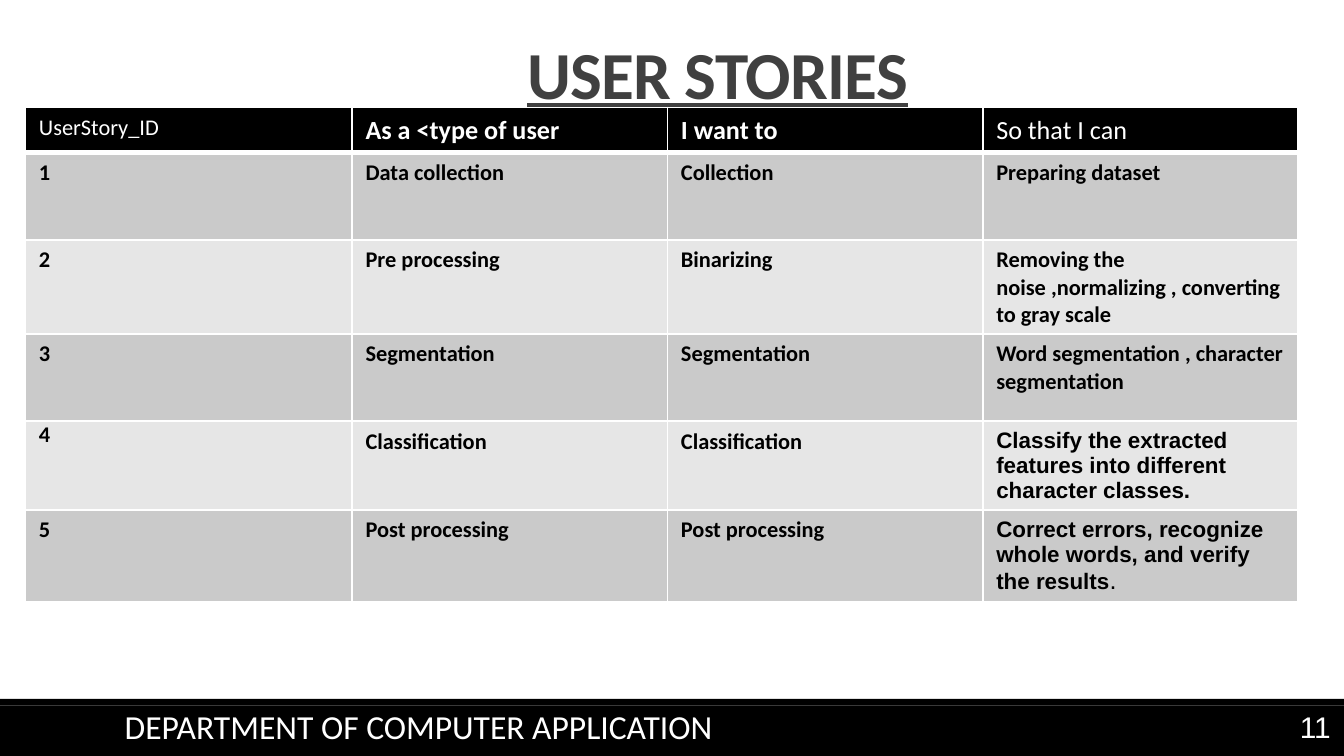
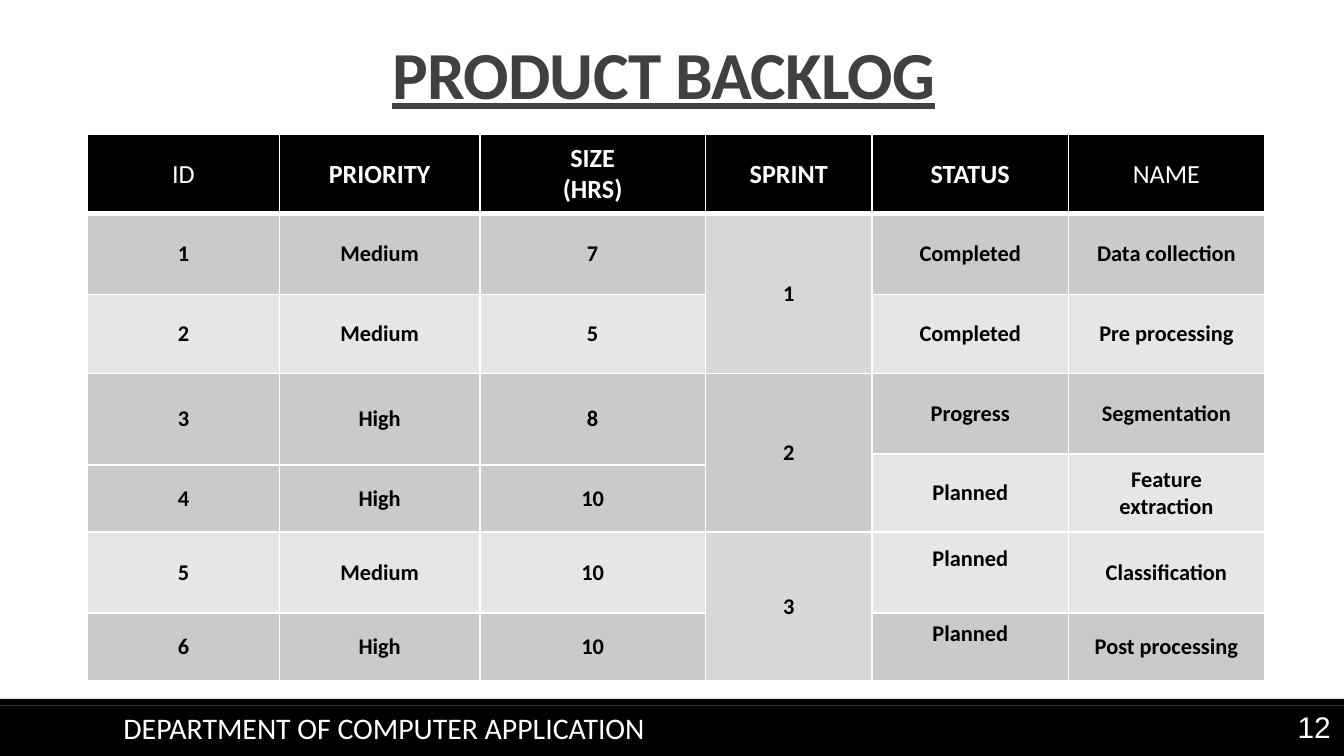
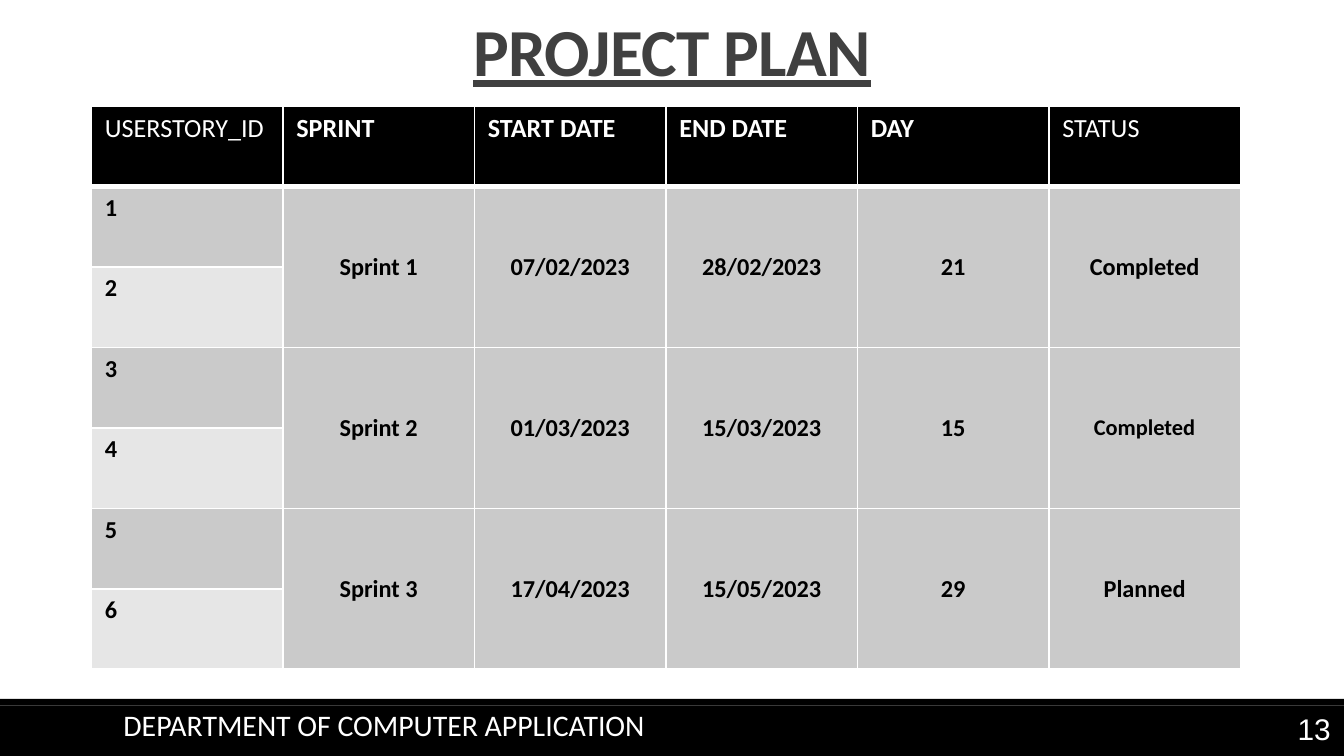
from lxml import etree
from pptx import Presentation
from pptx.dml.color import RGBColor
from pptx.enum.shapes import MSO_SHAPE
from pptx.enum.text import MSO_ANCHOR, PP_ALIGN
from pptx.oxml.ns import qn
from pptx.util import Inches, Pt

BLACK = RGBColor(0x00, 0x00, 0x00)
WHITE = RGBColor(0xFF, 0xFF, 0xFF)
TITLE_GRAY = RGBColor(0x40, 0x40, 0x40)
BAND_DARK = RGBColor(0xCA, 0xCA, 0xCA)
BAND_LIGHT = RGBColor(0xE6, 0xE6, 0xE6)
SPRINT_GRAY = RGBColor(0xD8, 0xD8, 0xD8)

RECT = MSO_SHAPE.RECTANGLE
LEFT, CENTER, RIGHT = PP_ALIGN.LEFT, PP_ALIGN.CENTER, PP_ALIGN.RIGHT
TOP, MIDDLE = MSO_ANCHOR.TOP, MSO_ANCHOR.MIDDLE

DEPARTMENT = "DEPARTMENT OF COMPUTER APPLICATION"
TITLE_FONT = dict(name="Calibri", size=Pt(36), bold=True, underline=True)


class Deck:
    """Holds the shared style and the current slide."""

    def __init__(self):
        self.prs = Presentation()
        self.prs.slide_width = Inches(10)
        self.prs.slide_height = Inches(10 * 9 / 16)
        self.s = None

    def new_slide(self):
        self.s = self.prs.slides.add_slide(self.prs.slide_layouts[6])
        self.band(5.25, 0.38)
        self.band(5.2, 0.05)

    def band(self, top, height):
        sp = self.s.shapes.add_shape(RECT, 0, Inches(top), Inches(10), Inches(height))
        sp.shadow.inherit = False
        sp.fill.solid()
        sp.fill.fore_color.rgb = BLACK
        sp.line.fill.background()

    def run(self, p, text, color, font):
        r = p.add_run()
        r.text = text
        for key, value in font.items():
            setattr(r.font, key, value)
        r.font.color.rgb = color
        return r

    def text(self, box, text, color, font, align=LEFT, anchor=TOP, inset=0.05):
        sp = self.s.shapes.add_textbox(*map(Inches, box))
        tf = sp.text_frame
        frame = dict(word_wrap=True, vertical_anchor=anchor,
                     margin_top=Inches(inset), margin_bottom=Inches(inset))
        for key, value in frame.items():
            setattr(tf, key, value)
        p = tf.paragraphs[0]
        p.alignment = align
        return self.run(p, text, color, font)

    def title(self, box, text):
        r = self.text(box, text, TITLE_GRAY, TITLE_FONT, CENTER, inset=0.1)
        r.font._element.set("spc", "-40")

    def footer(self, box, size, number, number_top=5.19):
        self.text((9.4, number_top, 0.6, 0.43), number, WHITE,
                  dict(name="Arial", size=Pt(16)), RIGHT, MIDDLE, 0.1)
        self.text(box, DEPARTMENT, WHITE, dict(name="Calibri", size=Pt(size)))

    def borders(self, cell, top, bottom):
        tcPr = cell._tc.get_or_add_tcPr()
        for side, width in dict(lnL=1, lnR=1, lnT=top, lnB=bottom).items():
            ln = etree.SubElement(tcPr, qn("a:" + side), w=str(Pt(width)))
            fill = etree.SubElement(ln, qn("a:solidFill"))
            etree.SubElement(fill, qn("a:srgbClr"), val=str(WHITE))

    def table(self, left, top, cols, heights, rows, size=12,
              align=LEFT, anchor=TOP, tweaks=None):
        """Fill a banded table; None joins a cell to the one above it."""
        tweaks = tweaks or {}
        frame = self.s.shapes.add_table(
            len(rows), len(cols), Inches(left), Inches(top),
            Inches(sum(cols)), Inches(sum(heights)))
        tbl = frame.table
        tbl.first_row = tbl.horz_banding = False
        for col, width in zip(tbl.columns, cols):
            col.width = Inches(width)
        for row, height in zip(tbl.rows, heights):
            row.height = Inches(height)
        for i, row in enumerate(rows):
            for j, value in enumerate(row):
                cell = tbl.cell(i, j)
                self.borders(cell, 3 if i == 1 else 1, 3 if i == 0 else 1)
                tweak = tweaks.get((i, j), {})
                band = BAND_DARK if i % 2 else BAND_LIGHT
                cell.fill.solid()
                cell.fill.fore_color.rgb = tweak.get("fill", band if i else BLACK)
                if value is None:
                    continue
                last = i
                while last + 1 < len(rows) and rows[last + 1][j] is None:
                    last += 1
                if last > i:
                    cell.merge(tbl.cell(last, j))
                # Outer header cells are set in regular weight
                font = dict(name="Calibri", size=Pt(size if i else 14),
                            bold=i > 0 or 0 < j < len(cols) - 1)
                font.update(tweak.get("font", {}))
                self.cell_text(cell, value, WHITE if i == 0 else BLACK, font,
                               tweak.get("align", align), tweak.get("anchor", anchor))
                for key, inset in tweak.get("margins", {}).items():
                    setattr(cell, "margin_" + key, Inches(inset))
                if "tail" in tweak:
                    self.run(cell.text_frame.paragraphs[-1], tweak["tail"], BLACK,
                             dict(font, size=Pt(13.5), bold=False))

    def cell_text(self, cell, value, color, font, align, anchor):
        cell.vertical_anchor = anchor
        tf = cell.text_frame
        for n, line in enumerate(value.split("\n")):
            p = tf.add_paragraph() if n else tf.paragraphs[0]
            p.alignment = align
            self.run(p, line, color, font)


def user_stories(deck):
    deck.new_slide()
    deck.title((0.68, 0.14, 9.32, 0.66), "USER STORIES")
    arial = dict(font=dict(name="Arial"), margins=dict(bottom=0.01))
    deck.table(
        0.19, 0.8, [2.43] + [(9.47 - 2.43) / 3] * 3, [0.33] + [0.65] * 4 + [0.3],
        [["UserStory_ID", "As a <type of user", "I want to", "So that I can"],
         ["1", "Data collection", "Collection", "Preparing dataset"],
         ["2", "Pre processing", "Binarizing",
          "Removing the noise ,normalizing , converting to gray scale"],
         ["3", "Segmentation", "Segmentation",
          "Word segmentation , character segmentation"],
         ["4", "Classification", "Classification",
          "Classify the extracted features into different character classes."],
         ["5", "Post processing", "Post processing",
          "Correct errors, recognize whole words, and verify the results"]],
        tweaks={(0, 0): dict(font=dict(size=Pt(12))),
                (4, 0): dict(margins=dict(top=0, bottom=0, right=0.2)),
                (4, 3): arial,
                (5, 3): dict(arial, tail=".")})
    deck.footer((0.83, 5.2, 5, 0.4), 18, "11")


def product_backlog(deck):
    deck.new_slide()
    deck.title((0.28, 0.14, 9.32, 0.55), "PRODUCT BACKLOG")
    raised = dict(margins=dict(bottom=0.25))
    sprint = dict(fill=SPRINT_GRAY)
    deck.table(
        0.65, 1, [1.43, 1.49, 1.68, 1.24, 1.46, 1.46],
        [0.59, 0.6, 0.59, 0.6, 0.08, 0.5, 0.6, 0.51],
        [["ID", "PRIORITY", "SIZE\n(HRS)", "SPRINT", "STATUS", "NAME"],
         ["1", "Medium", "7", "1", "Completed", "Data collection"],
         ["2", "Medium", "5", None, "Completed", "Pre processing"],
         ["3", "High", "8", "2", "Progress", "Segmentation"],
         [None, None, None, None, "Planned", "Feature extraction"],
         ["4", "High", "10", None, None, None],
         ["5", "Medium", "10", "3", "Planned", "Classification"],
         ["6", "High", "10", None, "Planned", "Post processing"]],
        align=CENTER, anchor=MIDDLE,
        tweaks={(1, 3): sprint, (6, 3): sprint, (6, 4): raised, (7, 4): raised})
    deck.footer((0.82, 5.23, 4.18, 0.3), 16, "12")


def project_plan(deck):
    deck.new_slide()
    deck.title((0.34, -0.03, 9.32, 0.62), "PROJECT PLAN")
    sprints = [["Sprint 1", "07/02/2023", "28/02/2023", "21", "Completed"],
               ["Sprint 2", "01/03/2023", "15/03/2023", "15", "Completed"],
               ["Sprint 3", "17/04/2023", "15/05/2023", "29", "Planned"]]
    rows = [["USERSTORY_ID", "SPRINT", "START DATE", "END DATE", "DAY", "STATUS"]]
    for n, sprint in enumerate(sprints):
        rows += [[str(2 * n + 1)] + sprint, [str(2 * n + 2)] + [None] * 5]
    # Each sprint is centred across its two stories
    tweaks = {(i, j): dict(align=CENTER, anchor=MIDDLE)
              for i in (1, 3, 5) for j in range(1, 6)}
    tweaks[3, 5]["font"] = dict(size=Pt(12))
    deck.table(0.68, 0.79, [8.55 / 6] * 6, [4.19 / 7] * 7, rows,
               size=13, tweaks=tweaks)
    deck.footer((0.82, 5.21, 4.18, 0.3), 16, "13", 5.21)


def main():
    deck = Deck()
    user_stories(deck)
    product_backlog(deck)
    project_plan(deck)
    deck.prs.save("out.pptx")


if __name__ == "__main__":
    main()
